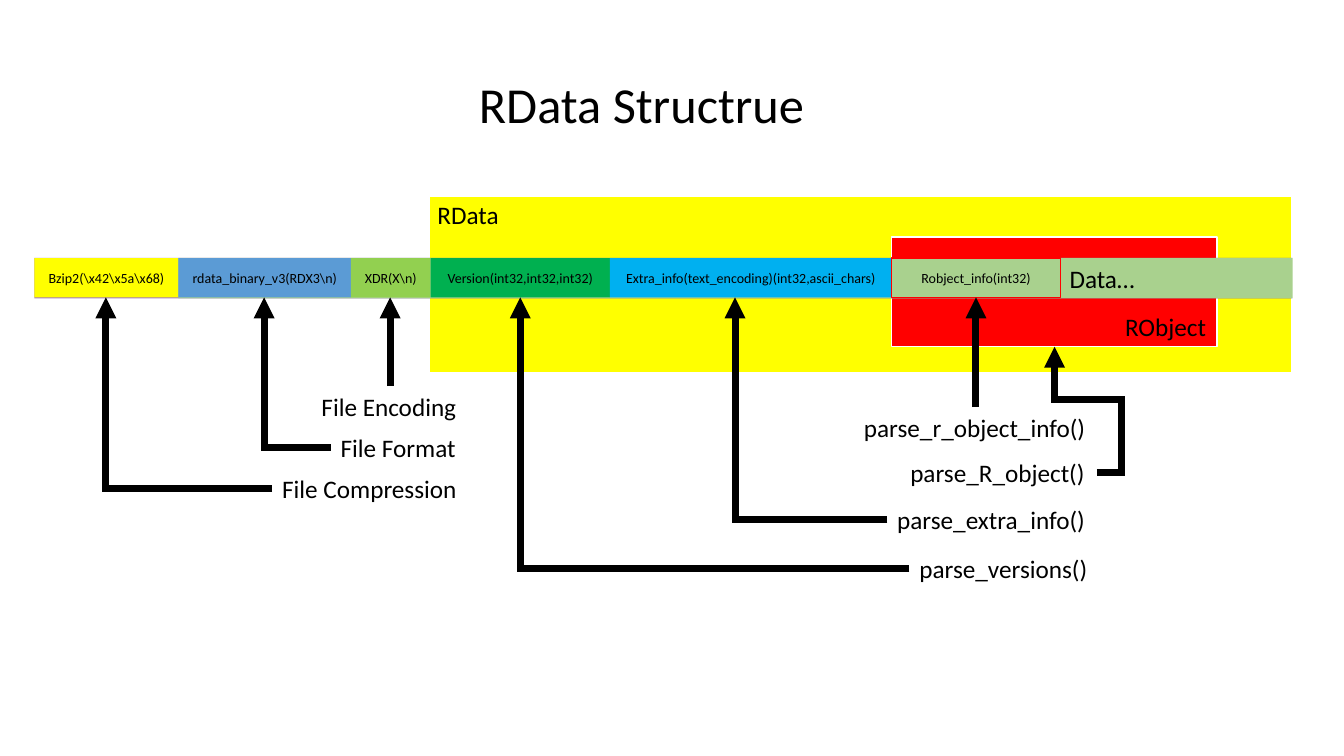
"""Build a slide showing the byte layout of an RData file and its parsers."""
from itertools import pairwise

from lxml import etree
from pptx import Presentation
from pptx.dml.color import RGBColor
from pptx.enum.shapes import MSO_CONNECTOR, MSO_SHAPE
from pptx.enum.text import MSO_ANCHOR, MSO_AUTO_SIZE, PP_ALIGN
from pptx.oxml.ns import qn
from pptx.util import Inches, Pt

RECTANGLE = MSO_SHAPE.RECTANGLE
STRAIGHT, ELBOW = MSO_CONNECTOR.STRAIGHT, MSO_CONNECTOR.ELBOW
TOP, MIDDLE = MSO_ANCHOR.TOP, MSO_ANCHOR.MIDDLE
LEFT, CENTER = PP_ALIGN.LEFT, PP_ALIGN.CENTER
FIT, FIXED = MSO_AUTO_SIZE.SHAPE_TO_FIT_TEXT, MSO_AUTO_SIZE.NONE

COLORS = {
    "black": "000000", "white": "FFFFFF", "yellow": "FFFF00", "red": "FF0000",
    "purple": "7030A0", "sage": "A9D18E", "blue": "5B9BD5", "lime": "92D050",
    "green": "00B050", "sky": "00B0F0",
}
FORMATS = {
    "label": {
        "frame": {"word_wrap": False, "auto_size": FIT, "vertical_anchor": TOP},
        "paragraph": {"alignment": LEFT},
        "font": {"name": "Calibri", "size": Pt(18), "bold": False},
    },
    "field": {
        "frame": {"word_wrap": True, "auto_size": FIXED, "vertical_anchor": MIDDLE},
        "paragraph": {"alignment": CENTER},
        "font": {"name": "Calibri", "size": Pt(10), "bold": False},
    },
}
FORMATS["title"] = FORMATS["label"] | {
    "font": FORMATS["label"]["font"] | {"size": Pt(36)}}

BAND_TOP, BAND_HEIGHT, FIELD_HEIGHT = 2.56, 0.4, 0.39
FIELD_BOTTOM = BAND_TOP + FIELD_HEIGHT
LABEL_HEIGHT = 0.4
FIELD_EDGES = [0.34, 1.77, 3.48, 4.27, 6.05, 8.84, 10.52]
FIELDS = [
    (r"Bzip2(\x42\x5a\x68)", "yellow", None),
    (r"rdata_binary_v3(RDX3\n)", "blue", None),
    (r"XDR(X\n)", "lime", None),
    ("Version(int32,int32,int32)", "green", None),
    ("Extra_info(text_encoding)(int32,ascii_chars)", "sky", None),
    ("Robject_info(int32)", "sage", "red"),
]
BLOCKS = [
    (4.26, 1.95, 8.55, 1.75, "yellow", "white"),
    (8.84, 2.35, 3.23, 1.09, "red", "white"),
    (0.34, BAND_TOP, 12.47, BAND_HEIGHT, "purple", None),
    (1.77, BAND_TOP, 11.05, BAND_HEIGHT, "sage", None),
]
REGION_LABELS = [
    ("RData", 4.24, 1.93, 0.82),
    ("Data…", 10.51, BAND_TOP, 0.87),
    ("RObject", 11.06, 3.04, 1.01),
]
POINTING_LABELS = [
    ("File Compression", 2.7, 4.65, 1.95, 1.05),
    ("File Format", 3.28, 4.24, 1.35, 2.62),
    ("File Encoding", 3.09, 3.83, 1.55, 3.87),
    ("parse_versions()", 9.02, 5.44, 1.89, 5.16),
    ("parse_extra_info()", 8.8, 4.95, 2.08, 7.29),
    ("parse_r_object_info()", 8.47, 4.04, 2.42, 9.68),
]
OBJECT_PARSER = ("parse_R_object()", 8.93, 4.49, 1.95)

presentation = Presentation()
presentation.slide_width, presentation.slide_height = Inches(13.33), Inches(7.5)
slide = presentation.slides.add_slide(presentation.slide_layouts[5])
shapes = slide.shapes


def write(holder, text, style):
    frame = holder.text_frame
    frame.text = text
    paragraph = frame.paragraphs[0]
    font = paragraph.runs[0].font
    targets = {"frame": frame, "paragraph": paragraph, "font": font}
    for part, target in targets.items():
        for attribute, value in FORMATS[style][part].items():
            setattr(target, attribute, value)
    font.color.rgb = RGBColor.from_string(COLORS["black"])


def draw_block(left, top, width, height, fill, outline):
    block = shapes.add_shape(RECTANGLE, *map(Inches, (left, top, width, height)))
    block.shadow.inherit = False
    block.fill.solid()
    block.fill.fore_color.rgb = RGBColor.from_string(COLORS[fill])
    if outline:
        block.line.color.rgb = RGBColor.from_string(COLORS[outline])
        block.line.width = Pt(1)
    else:
        block.line.fill.background()
    return block


title = shapes.title
title_box = {"left": 4.65, "top": 0.68, "width": 3.45, "height": 0.71}
for attribute, inches in title_box.items():
    setattr(title, attribute, Inches(inches))
write(title, "RData Structrue", "title")

for block_values in BLOCKS:
    block = draw_block(*block_values)
    if "purple" in block_values:
        tint = block._element.spPr.find(qn("a:solidFill"))[0]
        etree.SubElement(tint, qn("a:alpha"), val="65000")

for (start, end), (field_text, fill, outline) in zip(pairwise(FIELD_EDGES), FIELDS):
    field = draw_block(start, BAND_TOP, end - start, FIELD_HEIGHT, fill, outline)
    write(field, field_text, "field")

label_values = REGION_LABELS + [OBJECT_PARSER] + [row[:4] for row in POINTING_LABELS]
for label_text, left, top, width in label_values:
    label = shapes.add_textbox(*map(Inches, (left, top, width, LABEL_HEIGHT)))
    write(label, label_text, "label")

arrows = []
for _, left, top, _, tip in POINTING_LABELS:
    if tip > left:
        arrows.append(shapes.add_connector(
            STRAIGHT, *map(Inches, (tip, top, tip, FIELD_BOTTOM))))
    else:
        corner = top + LABEL_HEIGHT / 2
        elbow = shapes.add_connector(
            ELBOW, *map(Inches, (tip, FIELD_BOTTOM, left, corner)))
        elbow._element.spPr.find(qn("a:xfrm")).set("rot", "10800000")
        elbow._element.spPr.find(qn("a:prstGeom")).set("prst", "bentConnector2")
        arrows.append(elbow)

object_arrow = shapes.add_connector(ELBOW, *map(Inches, (10.88, 4.69, 10.46, 3.44)))
geometry = object_arrow._element.spPr.find(qn("a:prstGeom"))
geometry.set("prst", "bentConnector4")
bends = geometry.find(qn("a:avLst"))
for bend, share in {"adj1": -58600, "adj2": 58100}.items():
    etree.SubElement(bends, qn("a:gd"), name=bend, fmla=f"val {share}")
arrows.append(object_arrow)

for arrow in arrows:
    arrow.line.color.rgb = RGBColor.from_string(COLORS["black"])
    arrow.line.width = Pt(5)
    stroke = arrow.line._get_or_add_ln()
    etree.SubElement(stroke, qn("a:miter"), lim="800000")
    etree.SubElement(stroke, qn("a:tailEnd"), type="triangle")
    etree.SubElement(arrow._element.spPr, qn("a:effectLst"))

presentation.save("out.pptx")
